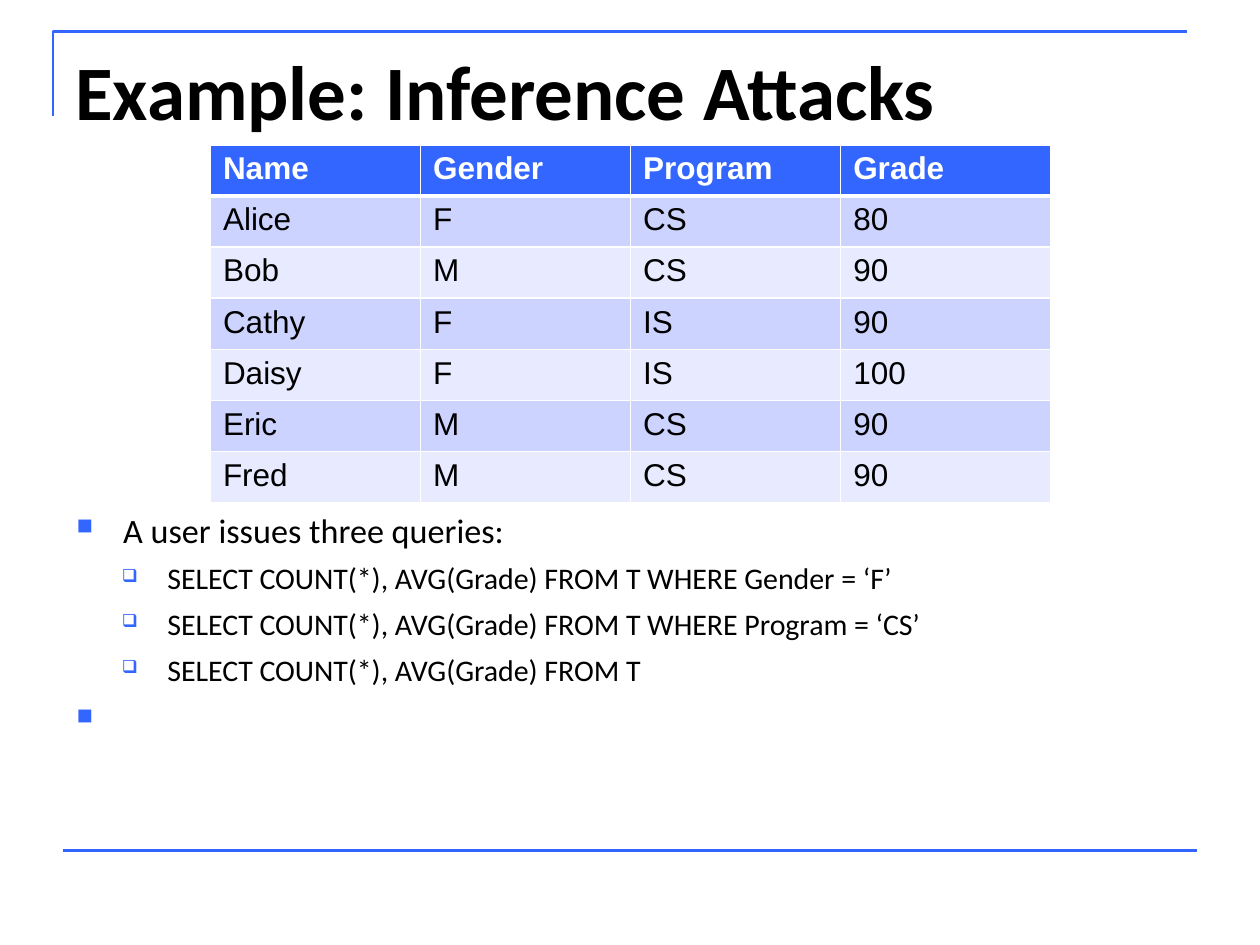
from dataclasses import dataclass

from lxml import etree
from pptx import Presentation
from pptx.dml.color import RGBColor
from pptx.enum import shapes
from pptx.oxml import ns
from pptx.util import Inches, Pt


@dataclass(frozen=True)
class Theme:
    accent: str = "3366FF"
    ink: str = "000000"
    paper: str = "FFFFFF"
    bands: tuple = ("CDD3FF", "E8EAFF")
    text_font: str = "Calibri"
    table_font: str = "Arial"
    title_size: float = 44
    table_size: float = 18
    body_sizes: tuple = (19.5, 17.1)
    rule: float = 1.5
    grid: float = 0.96
    header_rule: float = 3


THEME = Theme()

# bullet, size in percent, left indent, first-line indent, space before
LEVELS = (
    ("■", 65, 0.38, -0.37, 6.4),
    ("❑", 60, 0.73, -0.36, 5.6),
)

GRADES = (
    ("Name", "Gender", "Program", "Grade"),
    ("Alice", "F", "CS", "80"),
    ("Bob", "M", "CS", "90"),
    ("Cathy", "F", "IS", "90"),
    ("Daisy", "F", "IS", "100"),
    ("Eric", "M", "CS", "90"),
    ("Fred", "M", "CS", "90"),
)

QUERIES = (
    (0, "A user issues three queries:"),
    (1, "SELECT COUNT(*), AVG(Grade) FROM T WHERE Gender = ‘F’"),
    (1, "SELECT COUNT(*), AVG(Grade) FROM T WHERE Program = ‘CS’"),
    (1, "SELECT COUNT(*), AVG(Grade) FROM T"),
    (0, " "),
)


def color(value):
    return RGBColor.from_string(value)


def add_child(parent, tag, **attributes):
    return etree.SubElement(parent, ns.qn(tag), attributes)


def set_font(para, name, size, ink, bold=False):
    font = para.font
    font.name, font.size, font.bold = name, Pt(size), bold
    font.color.rgb = color(ink)


def set_rule(line):
    line.color.rgb = color(THEME.accent)
    line.width = Pt(THEME.rule)


def add_corner(page, left, top, width, height):
    """Draw the open bracket along the left and top sides."""
    builder = page.shapes.build_freeform(Inches(left), Inches(top + height))
    builder.add_line_segments(
        [(Inches(left), Inches(top)), (Inches(left + width), Inches(top))], close=False)
    corner = builder.convert_to_shape()
    corner.shadow.inherit = False
    corner.fill.background()
    set_rule(corner.line)


def add_footer_rule(page, left, top, width):
    rule = page.shapes.add_connector(
        shapes.MSO_CONNECTOR.STRAIGHT,
        Inches(left), Inches(top), Inches(left + width), Inches(top))
    set_rule(rule.line)
    add_child(rule._element.spPr, "a:effectLst")


def add_text_frame(page, left, top, width, height):
    box = page.shapes.add_textbox(Inches(left), Inches(top), Inches(width), Inches(height))
    box.text_frame.word_wrap = True
    return box.text_frame


def add_title(page, left, top, width, height):
    para = add_text_frame(page, left, top, width, height).paragraphs[0]
    para.text = "Example: Inference Attacks"
    set_font(para, THEME.text_font, THEME.title_size, THEME.ink, bold=True)


def set_bullet(para, mark, percent, left, first):
    props = para._p.get_or_add_pPr()
    props.set("marL", str(Inches(left)))
    props.set("indent", str(Inches(first)))
    add_child(add_child(props, "a:buClr"), "a:srgbClr", val=THEME.accent)
    add_child(props, "a:buSzPct", val=str(percent * 1000))
    add_child(props, "a:buChar", char=mark)


def add_queries(page, left, top, width, height):
    frame = add_text_frame(page, left, top, width, height)
    for index, (level, words) in enumerate(QUERIES):
        para = frame.add_paragraph() if index else frame.paragraphs[0]
        para.text = words
        para.level = level
        *bullet, space = LEVELS[level]
        set_bullet(para, *bullet)
        if index:
            para.space_before = Pt(space)
        set_font(para, THEME.text_font, THEME.body_sizes[level], THEME.ink)


def set_borders(cell, widths):
    props = cell._tc.get_or_add_tcPr()
    for side, width in widths.items():
        line = add_child(props, f"a:ln{side}", w=str(Pt(width)))
        add_child(add_child(line, "a:solidFill"), "a:srgbClr", val=THEME.paper)


def add_grades(page, left, top, width, height):
    rows, columns = len(GRADES), len(GRADES[0])
    table = page.shapes.add_table(
        rows, columns, Inches(left), Inches(top), Inches(width), Inches(height)).table
    for r, record in enumerate(GRADES):
        header = r == 0
        fill = THEME.accent if header else THEME.bands[(r - 1) % 2]
        widths = dict.fromkeys("LRTB", THEME.grid)
        if r < 2:
            widths["B" if header else "T"] = THEME.header_rule
        for c, words in enumerate(record):
            cell = table.cell(r, c)
            cell.text = words
            set_borders(cell, widths)
            cell.fill.solid()
            cell.fill.fore_color.rgb = color(fill)
            set_font(cell.text_frame.paragraphs[0], THEME.table_font, THEME.table_size,
                     THEME.paper if header else THEME.ink, bold=header)


def main():
    deck = Presentation()
    deck.slide_width, deck.slide_height = Inches(10), Inches(7.5)
    page = deck.slides.add_slide(deck.slide_layouts[6])
    add_corner(page, 0.42, 0.25, 9, 0.67)
    add_footer_rule(page, 0.5, 6.75, 9)
    add_title(page, 0.5, 0.3, 9, 1.25)
    add_queries(page, 0.5, 3.99, 9.5, 2.76)
    add_grades(page, 1.67, 1.15, 6.67, 2.84)
    deck.save("out.pptx")


if __name__ == "__main__":
    main()
